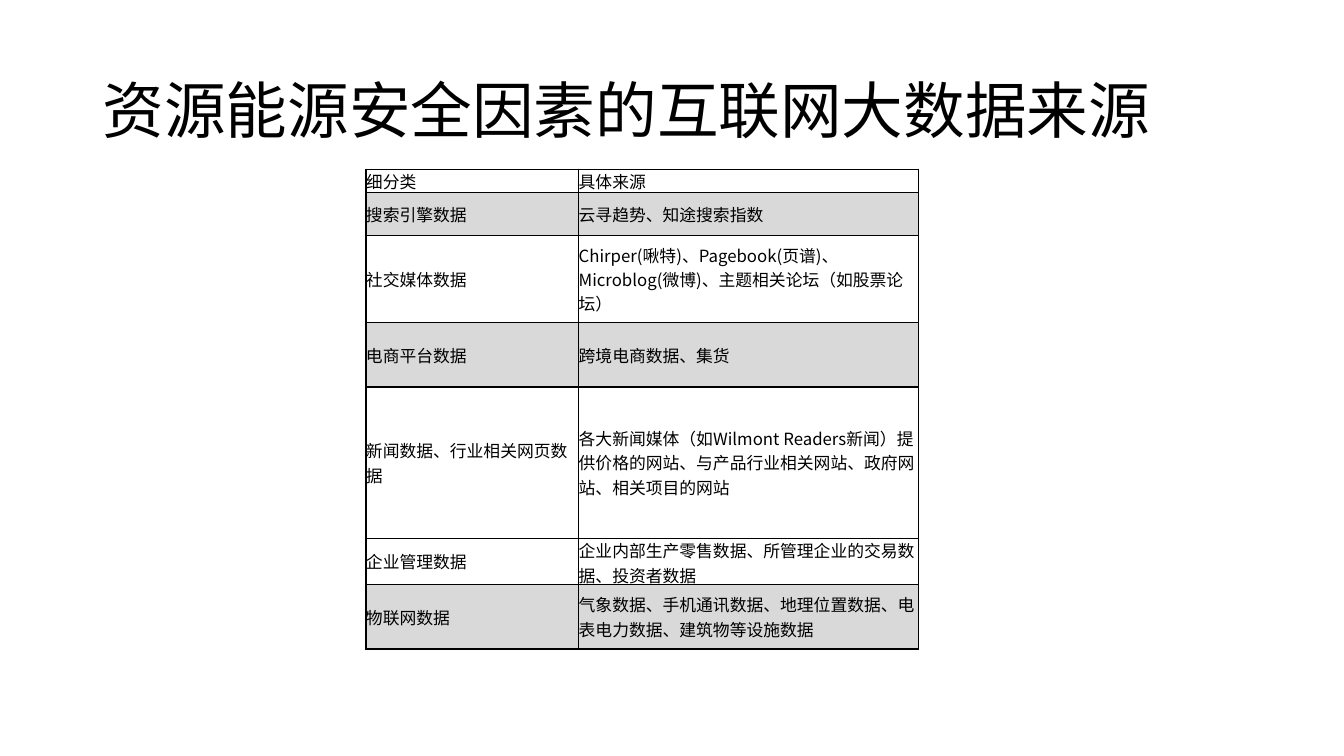
from lxml import etree
from pptx import Presentation
from pptx.dml.color import RGBColor
from pptx.enum.text import MSO_ANCHOR
from pptx.oxml.ns import qn
from pptx.util import Inches, Pt

MIDDLE = MSO_ANCHOR.MIDDLE
CJK_FONT = "Noto Sans CJK SC"
BLACK, GREY = "000000", "D9D9D9"


def color(value):
    return RGBColor.from_string(value)


def write(frame, text, size, font_name):
    """Fill a text frame with one run and return its paragraph."""
    para = frame.paragraphs[0]
    span = para.add_run()
    span.text = text
    for name, value in {"size": Pt(size), "name": font_name}.items():
        setattr(span.font, name, value)
    span.font.color.rgb = color(BLACK)
    east_asian = etree.SubElement(span.font._element, qn("a:ea"))
    east_asian.set("typeface", CJK_FONT)
    return para


deck = Presentation()
deck.slide_width, deck.slide_height = Inches(13.33), Inches(7.5)
page = deck.slides.add_slide(deck.slide_layouts[6])

# Title
title = page.shapes.add_textbox(Inches(0.92), Inches(0.4), Inches(11.5), Inches(1.45))
title.text_frame.word_wrap = True
title.text_frame.vertical_anchor = MIDDLE
write(title.text_frame, "资源能源安全因素的互联网大数据来源", 44, "Calibri").line_spacing = 0.9

# Table content: row height, fill, category, sources
rows = [
    (0.23, None, "细分类", "具体来源"),
    (0.43, GREY, "搜索引擎数据", "云寻趋势、知途搜索指数"),
    (0.86, None, "社交媒体数据",
     "Chirper(啾特)、Pagebook(页谱)、Microblog(微博)、主题相关论坛（如股票论坛）"),
    (0.64, GREY, "电商平台数据", "跨境电商数据、集货"),
    (1.5, None, "新闻数据、行业相关网页数据",
     "各大新闻媒体（如Wilmont Readers新闻）提供价格的网站、与产品行业相关网站、政府网站、相关项目的网站"),
    (0.46, None, "企业管理数据", "企业内部生产零售数据、所管理企业的交易数据、投资者数据"),
    (0.64, GREY, "物联网数据", "气象数据、手机通讯数据、地理位置数据、电表电力数据、建筑物等设施数据"),
]
column_widths = [2.11, 3.37]
rule_widths = [1, 1.5, 1, 1, 1, 1, 1, 1]  # horizontal rules, top to bottom
cell_format = {"vertical_anchor": MIDDLE, "margin_left": 0, "margin_right": 0,
               "margin_top": 0, "margin_bottom": 0}

# Table
frame = page.shapes.add_table(len(rows), len(column_widths), Inches(3.63), Inches(1.68),
                              Inches(sum(column_widths)), Inches(sum(row[0] for row in rows)))
table = frame.table
table.first_row = table.horz_banding = False
for column, width in zip(table.columns, column_widths):
    column.width = Inches(width)

for i, (height, fill, *texts) in enumerate(rows):
    table.rows[i].height = Inches(height)
    for j, text in enumerate(texts):
        cell = table.cell(i, j)
        for name, value in cell_format.items():
            setattr(cell, name, value)
        write(cell.text_frame, text, 12, CJK_FONT)

        # Borders: the right edge and the rule above the last-but-one source are thinner
        borders = {"L": 1, "R": 0.75 if j == 1 else 1,
                   "T": rule_widths[i], "B": rule_widths[i + 1]}
        if j == 1 and i in (4, 5):
            borders["B" if i == 4 else "T"] = 0.5
        properties = cell._tc.get_or_add_tcPr()
        for side, width in borders.items():
            line = etree.SubElement(properties, qn("a:ln" + side), w=str(Pt(width)))
            solid = etree.SubElement(line, qn("a:solidFill"))
            etree.SubElement(solid, qn("a:srgbClr"), val=BLACK)

        # Fill
        if fill:
            cell.fill.solid()
            cell.fill.fore_color.rgb = color(fill)
        else:
            cell.fill.background()

deck.save("out.pptx")
